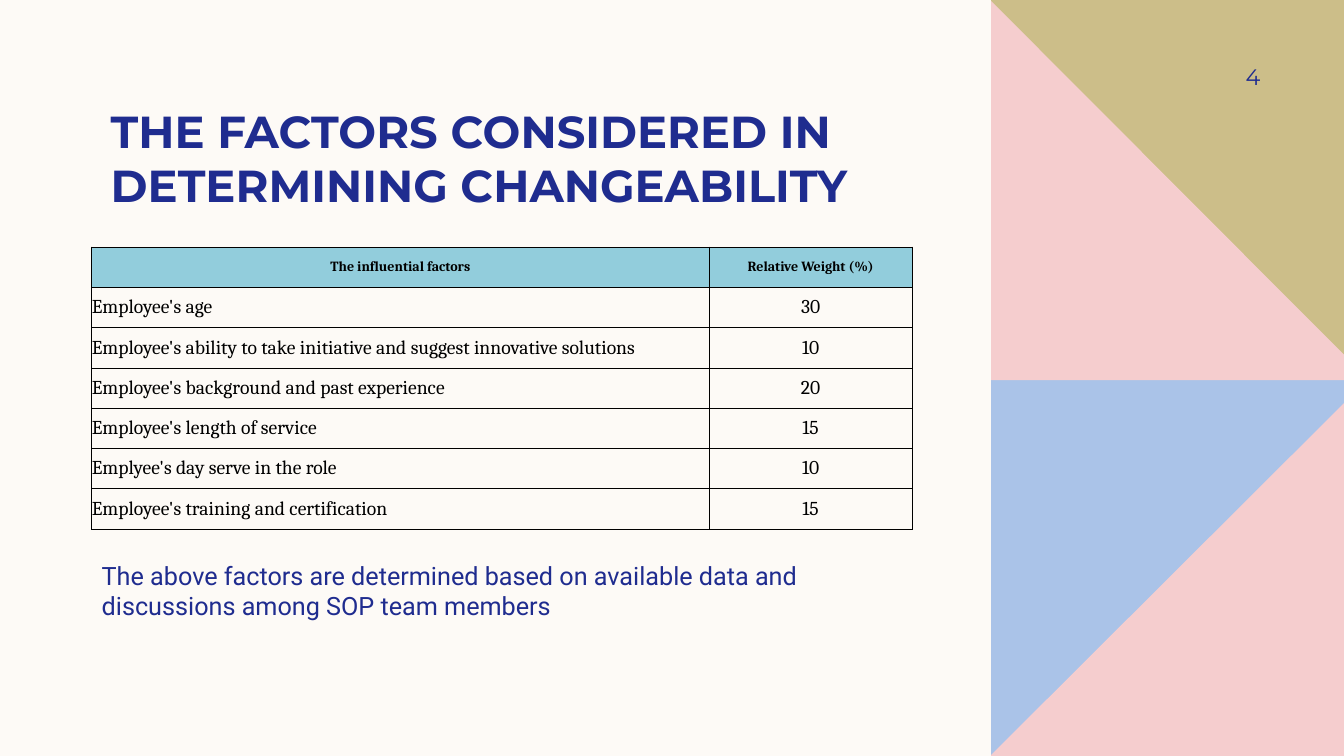
from dataclasses import dataclass

from lxml import etree
from pptx import Presentation
from pptx.dml.color import RGBColor
from pptx.enum.text import MSO_ANCHOR, PP_ALIGN
from pptx.oxml.ns import qn
from pptx.util import Inches, Pt

LEFT, CENTER, RIGHT = PP_ALIGN.LEFT, PP_ALIGN.CENTER, PP_ALIGN.RIGHT
TOP, MIDDLE, BOTTOM = MSO_ANCHOR.TOP, MSO_ANCHOR.MIDDLE, MSO_ANCHOR.BOTTOM

CREAM = RGBColor(0xFD, 0xFA, 0xF6)
NAVY = RGBColor(0x1F, 0x2C, 0x8F)
BLUE = RGBColor(0xAA, 0xC3, 0xE8)
PINK = RGBColor(0xF5, 0xCD, 0xCE)
OLIVE = RGBColor(0xCC, 0xBE, 0x89)
TEAL = RGBColor(0x92, 0xCD, 0xDC)
BLACK = RGBColor(0, 0, 0)

SLIDE_WIDTH, SLIDE_HEIGHT = Inches(13.33), Inches(7.5)
PANEL_LEFT = 73.74  # percent of the slide's width
BORDER_WIDTH = Pt(0.5)


@dataclass(frozen=True)
class Panel:
    color: RGBColor
    corners: tuple[tuple[float, float], ...]


@dataclass(frozen=True)
class TextBlock:
    text: str
    box: tuple[float, float, float, float]
    font: dict
    paragraph: dict
    frame: dict


@dataclass(frozen=True)
class Factor:
    name: str
    weight: int


# Corners and boxes are in percent of the slide's width and height.
PANELS = (
    Panel(BLUE, ((PANEL_LEFT, 50), (100, 50), (100, 100), (PANEL_LEFT, 100))),
    Panel(PINK, ((100, 53.33), (100, 100), (PANEL_LEFT, 100), (PANEL_LEFT, 99.87))),
    Panel(OLIVE, ((PANEL_LEFT, 0), (100, 0), (100, 50.13), (PANEL_LEFT, 50.13))),
    Panel(PINK, ((PANEL_LEFT, 0.13), (100, 46.93), (100, 50.27), (PANEL_LEFT, 50.27))),
)

FLUSH = {"margin_top": 0, "margin_bottom": 0}
TEXT_BLOCKS = (
    TextBlock("THE FACTORS CONSIDERED IN DETERMINING CHANGEABILITY",
              (7.5, 10.13, 64, 17.87),
              {"name": "Montserrat", "size": Pt(32), "bold": True},
              {"alignment": LEFT},
              FLUSH | {"vertical_anchor": BOTTOM}),
    TextBlock("4",
              (85.67, 6.67, 8.1, 6.93),
              {"name": "Montserrat", "size": Pt(16)},
              {"alignment": RIGHT},
              {"margin_right": 0, "vertical_anchor": MIDDLE}),
    TextBlock("The above factors are determined based on available data and "
              "discussions among SOP team members",
              (6.83, 74.13, 61.07, 17.87),
              {"name": "Roboto", "size": Pt(18)},
              {"alignment": LEFT, "space_before": Pt(10)},
              FLUSH | {"vertical_anchor": TOP}),
)

HEADINGS = ("The influential factors", "Relative Weight (%)")
FACTORS = (
    Factor("Employee's age", 30),
    Factor("Employee's ability to take initiative and suggest innovative solutions", 10),
    Factor("Employee's background and past experience", 20),
    Factor("Employee's length of service", 15),
    Factor("Emplyee's day serve in the role", 10),
    Factor("Employee's training and certification", 15),
)
TABLE_LEFT, TABLE_TOP = 6.83, 32.67
COLUMN_SHARES = (45.91, 15.15)
ROW_SHARE = 5.33
HEADING_FONT = {"name": "Cambria", "size": Pt(10), "bold": True}
FACTOR_FONT = {"name": "Cambria", "size": Pt(14), "bold": False}
CELL_FORMAT = {"margin_left": 0, "margin_right": 0, "margin_top": 0,
               "margin_bottom": 0, "vertical_anchor": MIDDLE}


def across(percent: float) -> int:
    return round(SLIDE_WIDTH * percent / 100)


def down(percent: float) -> int:
    return round(SLIDE_HEIGHT * percent / 100)


def apply_format(target, values: dict) -> None:
    for attribute, value in values.items():
        setattr(target, attribute, value)


def write(paragraph, text: str, font: dict, color: RGBColor) -> None:
    run = paragraph.add_run()
    run.text = text
    apply_format(run.font, font)
    run.font.color.rgb = color


def draw_panel(slide, panel: Panel) -> None:
    start, *others = [(across(x), down(y)) for x, y in panel.corners]
    builder = slide.shapes.build_freeform(*start)
    builder.add_line_segments(others, close=True)
    shape = builder.convert_to_shape()
    shape.shadow.inherit = False
    shape.fill.solid()
    shape.fill.fore_color.rgb = panel.color
    shape.line.fill.background()


def draw_text(slide, block: TextBlock) -> None:
    left, top, width, height = block.box
    frame = slide.shapes.add_textbox(
        across(left), down(top), across(width), down(height)).text_frame
    frame.word_wrap = True
    apply_format(frame, block.frame)
    paragraph = frame.paragraphs[0]
    apply_format(paragraph, block.paragraph)
    write(paragraph, block.text, block.font, NAVY)


def add_borders(cell) -> None:
    properties = cell._tc.get_or_add_tcPr()
    for side in ("lnL", "lnR", "lnT", "lnB"):
        line = etree.SubElement(properties, qn(f"a:{side}"), w=str(BORDER_WIDTH))
        fill = etree.SubElement(line, qn("a:solidFill"))
        etree.SubElement(fill, qn("a:srgbClr"), val=str(BLACK))


def draw_factor_table(slide) -> None:
    rows = [HEADINGS] + [(factor.name, str(factor.weight)) for factor in FACTORS]
    table = slide.shapes.add_table(
        len(rows), len(HEADINGS), across(TABLE_LEFT), down(TABLE_TOP),
        across(sum(COLUMN_SHARES)), down(ROW_SHARE * len(rows))).table
    apply_format(table, {"first_row": False, "horz_banding": False})
    for column, share in zip(table.columns, COLUMN_SHARES):
        column.width = across(share)
    for row_index, texts in enumerate(rows):
        table.rows[row_index].height = down(ROW_SHARE)
        is_heading = row_index == 0
        for column_index, text in enumerate(texts):
            cell = table.cell(row_index, column_index)
            apply_format(cell, CELL_FORMAT)
            add_borders(cell)
            if is_heading:
                cell.fill.solid()
                cell.fill.fore_color.rgb = TEAL
            else:
                cell.fill.background()
            paragraph = cell.text_frame.paragraphs[0]
            paragraph.alignment = CENTER if is_heading or column_index else LEFT
            write(paragraph, text, HEADING_FONT if is_heading else FACTOR_FONT, BLACK)


def main() -> None:
    presentation = Presentation()
    apply_format(presentation, {"slide_width": SLIDE_WIDTH, "slide_height": SLIDE_HEIGHT})
    slide = presentation.slides.add_slide(presentation.slide_layouts[6])
    slide.background.fill.solid()
    slide.background.fill.fore_color.rgb = CREAM
    for panel in PANELS:
        draw_panel(slide, panel)
    for block in TEXT_BLOCKS:
        draw_text(slide, block)
    draw_factor_table(slide)
    presentation.save("out.pptx")


if __name__ == "__main__":
    main()
